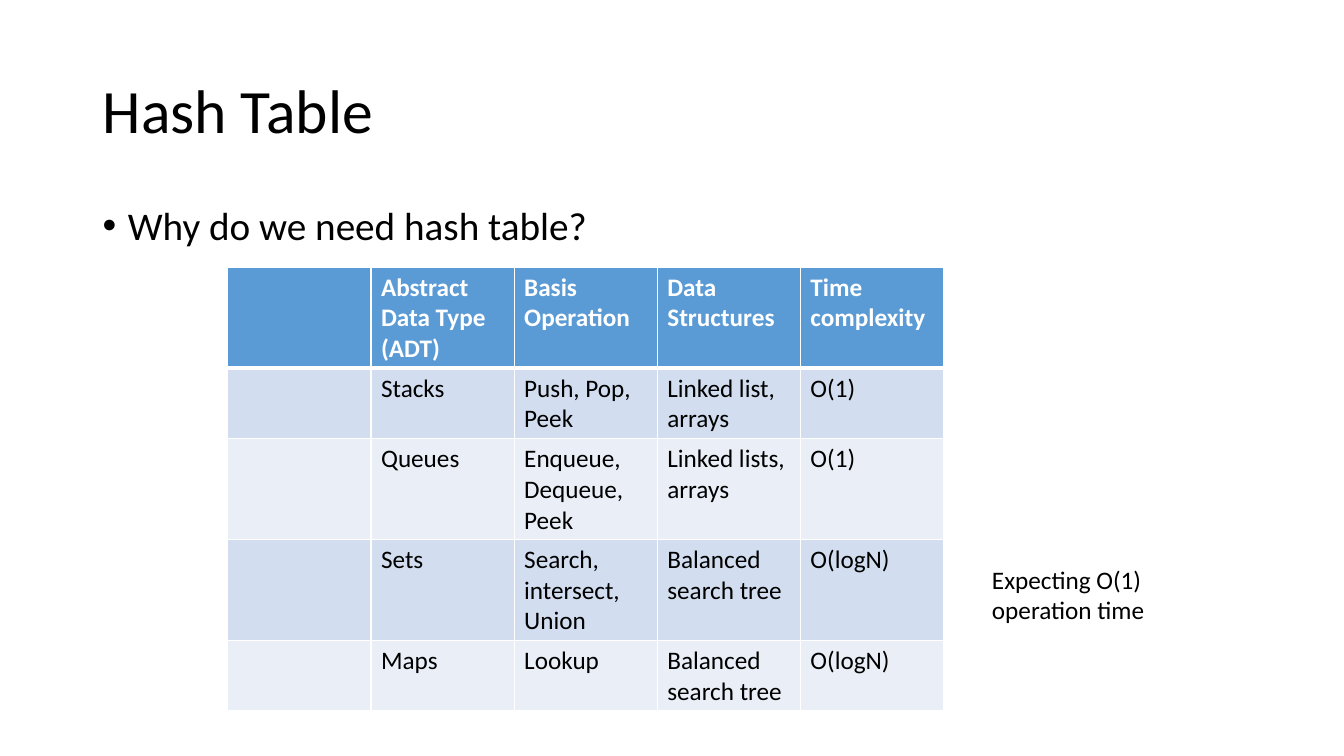
import pptx
import pptx.util
import pptx.dml.color
import pptx.enum.text
import pptx.oxml
import pptx.oxml.ns
from lxml import etree

Inches, Pt = pptx.util.Inches, pptx.util.Pt
RGBColor = pptx.dml.color.RGBColor

# Content
TITLE = "Hash Table"
QUESTION = "Why do we need hash table?"
NOTE = "Expecting O(1) operation time"
ROWS = [
    ("", "Abstract Data Type (ADT)", "Basis Operation", "Data Structures", "Time complexity"),
    ("", "Stacks", "Push, Pop, Peek", "Linked list, arrays", "O(1)"),
    ("", "Queues", "Enqueue, Dequeue, Peek", "Linked lists, arrays", "O(1)"),
    ("", "Sets", "Search, intersect, Union", "Balanced search tree", "O(logN)"),
    ("", "Maps", "Lookup", "Balanced search tree", "O(logN)"),
]
LINES_PER_ROW = (3, 2, 3, 3, 2)

# Format
BLACK = RGBColor(0x00, 0x00, 0x00)
WHITE = RGBColor(0xFF, 0xFF, 0xFF)
HEADER_BLUE = RGBColor(0x5B, 0x9B, 0xD5)
BANDS = (RGBColor(0xEA, 0xEF, 0xF7), RGBColor(0xD2, 0xDE, 0xEF))
TITLE_FONT = {"name": "Calibri", "size": Pt(44)}
BULLET_FONT = {"name": "Calibri", "size": Pt(28)}
BODY_FONT = {"name": "Calibri", "size": Pt(18), "bold": False}
HEADER_FONT = {**BODY_FONT, "bold": True}

# Layout in inches
MARGIN, CONTENT_WIDTH = 0.92, 11.5
TABLE_LEFT, TABLE_TOP, COLUMN_WIDTH = 2.26, 2.65, 1.42
LINE_HEIGHT, CELL_PADDING = 0.3, 0.1


def write(text_frame, text, font, color=BLACK, **paragraph_format):
    paragraph = text_frame.paragraphs[0]
    for name, value in paragraph_format.items():
        setattr(paragraph, name, value)
    run = paragraph.add_run()
    run.text = text
    for name, value in font.items():
        setattr(run.font, name, value)
    run.font.color.rgb = color
    return paragraph


def add_text(box, text, font, anchor=pptx.enum.text.MSO_ANCHOR.TOP, **paragraph_format):
    text_frame = slide.shapes.add_textbox(*map(Inches, box)).text_frame
    text_frame.word_wrap = True
    text_frame.vertical_anchor = anchor
    return write(text_frame, text, font, **paragraph_format)


def add_bullet(paragraph, indent):
    properties = paragraph._p.get_or_add_pPr()
    properties.set("marL", str(Inches(indent)))
    properties.set("indent", str(-Inches(indent)))
    for tag, name, value in (("a:buFont", "typeface", "Arial"), ("a:buChar", "char", "\u2022")):
        etree.SubElement(properties, pptx.oxml.ns.qn(tag)).set(name, value)


def set_borders(cell, widths):
    properties = cell._tc.get_or_add_tcPr()
    for position, (side, width) in enumerate(widths.items()):
        properties.insert(position, pptx.oxml.parse_xml(
            f'<a:ln{side} {pptx.oxml.ns.nsdecls("a")} w="{Pt(width)}">'
            f'<a:solidFill><a:srgbClr val="{WHITE}"/></a:solidFill></a:ln{side}>'))


presentation = pptx.Presentation()
presentation.slide_width, presentation.slide_height = Inches(13.33), Inches(7.5)
slide = presentation.slides.add_slide(presentation.slide_layouts[6])

# Title and question
add_text((MARGIN, 0.4, CONTENT_WIDTH, 1.45), TITLE, TITLE_FONT,
         pptx.enum.text.MSO_ANCHOR.MIDDLE, line_spacing=0.9)
question = add_text((MARGIN, 2, CONTENT_WIDTH, 3.76), QUESTION, BULLET_FONT,
                    line_spacing=0.9, space_before=Pt(10))
add_bullet(question, 0.25)

# Table of abstract data types
row_heights = [CELL_PADDING + LINE_HEIGHT * lines for lines in LINES_PER_ROW]
table = slide.shapes.add_table(
    len(ROWS), len(ROWS[0]), Inches(TABLE_LEFT), Inches(TABLE_TOP),
    Inches(COLUMN_WIDTH * len(ROWS[0])), Inches(sum(row_heights))).table
for column in table.columns:
    column.width = Inches(COLUMN_WIDTH)
for row_index, texts in enumerate(ROWS):
    table.rows[row_index].height = Inches(row_heights[row_index])
    is_header = row_index == 0
    for column_index, text in enumerate(texts):
        cell = table.cell(row_index, column_index)
        cell.fill.solid()
        cell.fill.fore_color.rgb = HEADER_BLUE if is_header else BANDS[row_index % 2]
        set_borders(cell, {"L": 1, "R": 1, "T": 3 if row_index == 1 else 1,
                           "B": 3 if is_header else 1})
        if text:
            write(cell.text_frame, text, HEADER_FONT if is_header else BODY_FONT,
                  WHITE if is_header else BLACK)

# Side note
add_text((9.74, 5.55, 2.68, 0.71), NOTE, BODY_FONT)

presentation.save("out.pptx")
